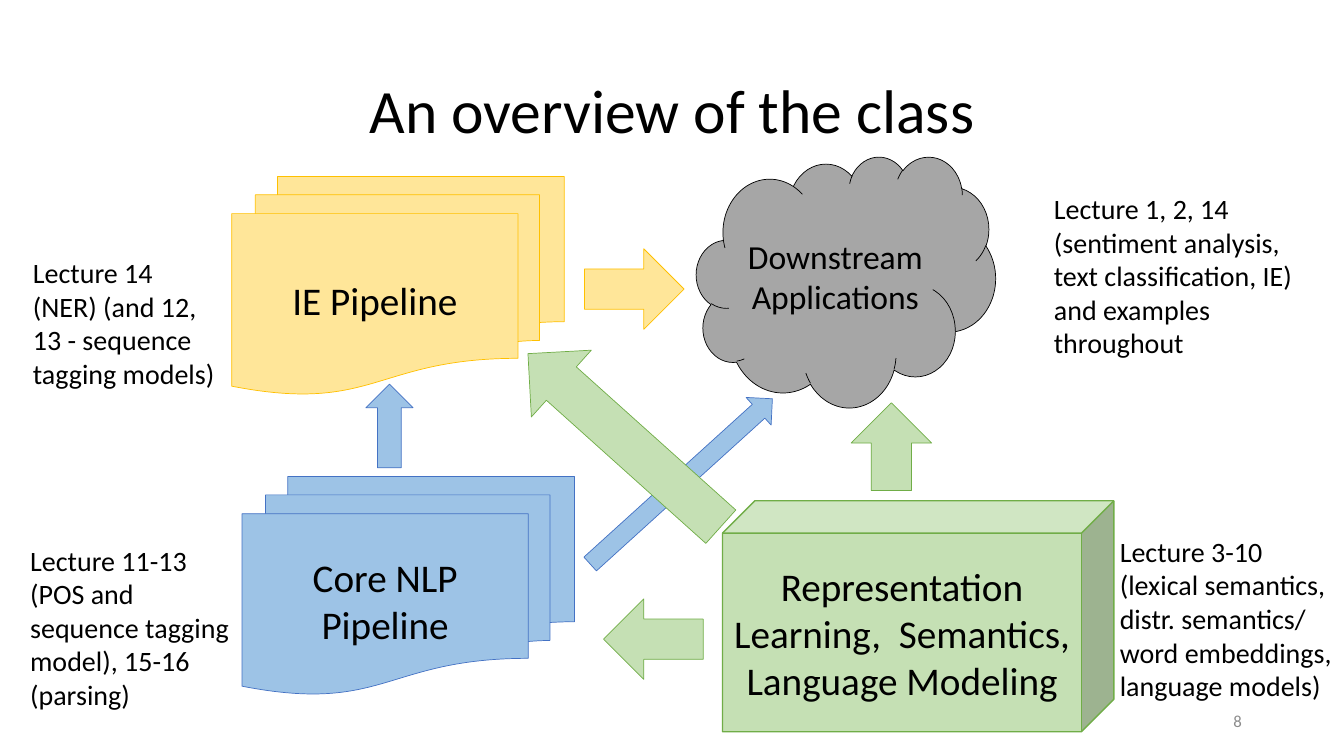
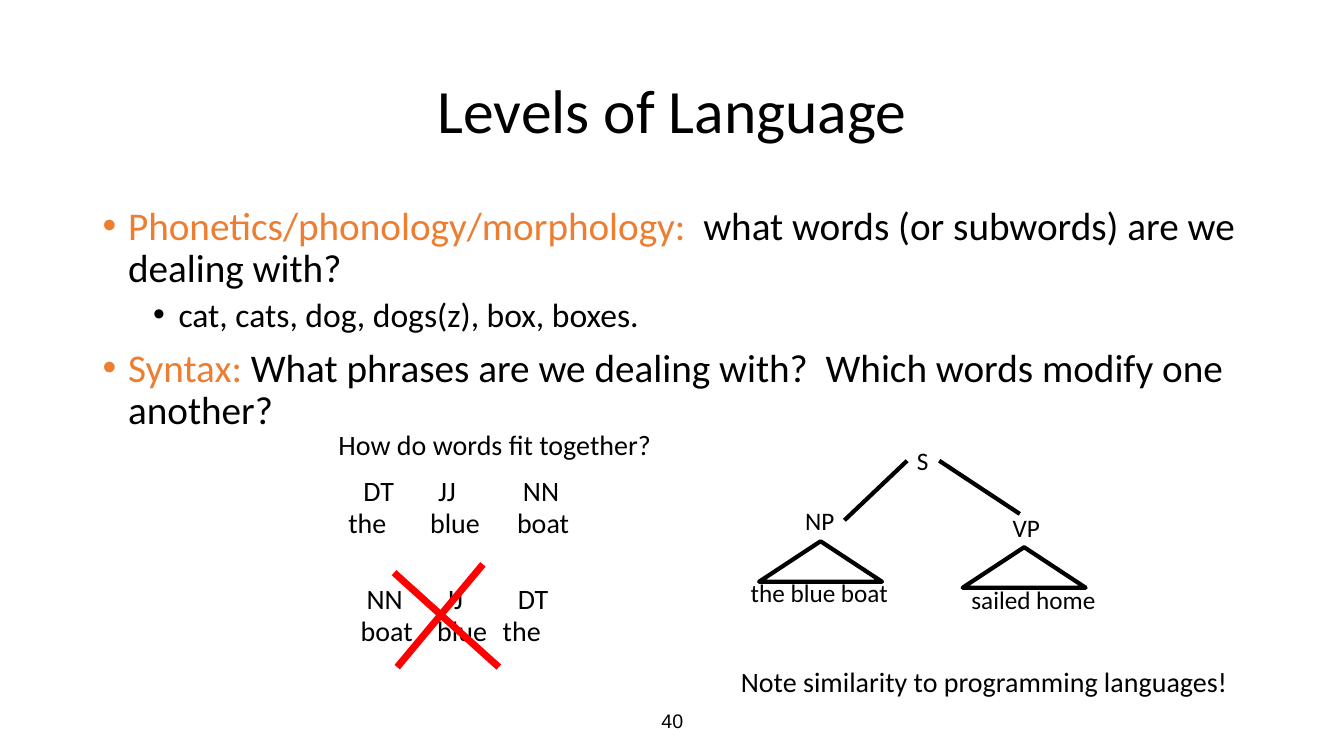
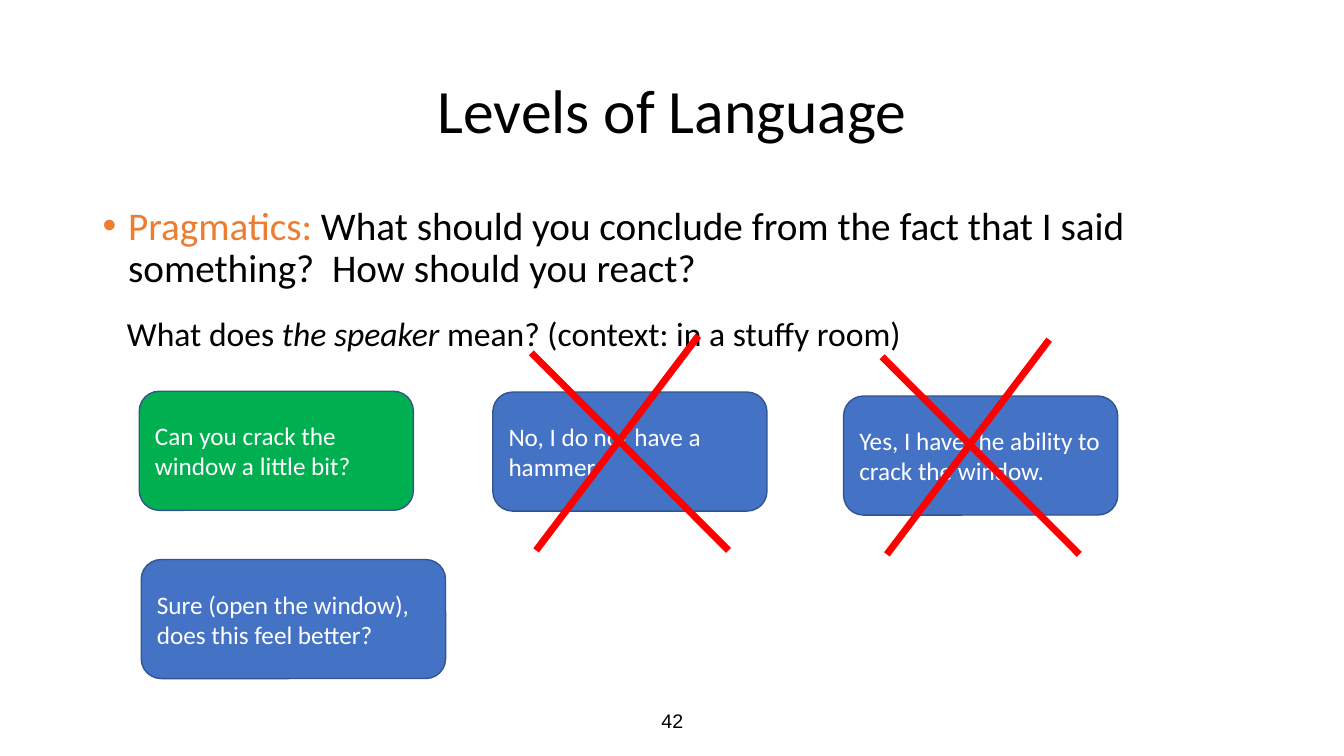
from dataclasses import dataclass
from typing import Any, NamedTuple, Optional

import pptx
import pptx.dml.color
import pptx.enum.shapes
import pptx.enum.text
import pptx.oxml.ns
import pptx.util
from lxml import etree

Cm = pptx.util.Cm
Pt = pptx.util.Pt
SHAPE = pptx.enum.shapes.MSO_SHAPE
ALIGN = pptx.enum.text.PP_ALIGN
ANCHOR = pptx.enum.text.MSO_ANCHOR
AUTO_SIZE = pptx.enum.text.MSO_AUTO_SIZE


# Theme: colours, fonts and type sizes in one place
@dataclass(frozen=True)
class Theme:
    font: str = "Calibri"
    number_font: str = "Arial"
    black: str = "000000"
    white: str = "FFFFFF"
    muted: str = "8C8C8C"
    accent: str = "ED7D31"
    wrong: str = "FF0000"
    blue: str = "4472C4"
    light_blue: str = "9DC3E6"
    navy: str = "325491"
    amber: str = "FFC000"
    light_amber: str = "FFE699"
    green: str = "70AD47"
    light_green: str = "C5E0B4"
    speech_green: str = "00B050"
    gray: str = "A6A6A6"
    title_size: int = 44
    large: int = 28
    medium: int = 24
    note: int = 20
    small: int = 18
    number: int = 14
    small_number: int = 12


THEME = Theme()


# Content records; every length is in centimetres
class Box(NamedTuple):
    left: float
    top: float
    width: float
    height: float


class Stroke(NamedTuple):
    x1: float
    y1: float
    x2: float
    y2: float


class Run(NamedTuple):
    text: str
    color: str = THEME.black
    italic: bool = False


class Bullet(NamedTuple):
    runs: tuple[Run, ...]
    level: int = 0


@dataclass(frozen=True)
class Block:
    box: Box
    kind: Any
    fill: Optional[str]
    line: str
    text: str = ""
    size: int = THEME.large
    color: str = THEME.black
    align: Any = ALIGN.CENTER
    line_width: float = 0.5
    rotation: float = 0
    adjustment: Optional[float] = None


class TaggedWord(NamedTuple):
    word: str
    word_width: float
    tag: str
    tag_width: float
    tag_offset: float


class Phrase(NamedTuple):
    label: str
    label_box: Box
    triangle_box: Box
    words: str
    words_box: Box


class Card(NamedTuple):
    text: str
    box: Box
    fill: str = THEME.blue
    rejected: bool = False


TITLE_BOX = Box(2.34, 1.02, 29.21, 3.68)
BODY_BOX = Box(2.34, 5.08, 29.21, 12.09)
CENTER_NUMBER_BOX = Box(11.23, 17.65, 11.43, 1.02)
RIGHT_NUMBER_BOX = Box(23.93, 17.65, 7.62, 1.02)
NOTE_HEIGHT = 1.12
LABEL_HEIGHT = 1.02


# Shared drawing functions
def rgb(color: str) -> pptx.dml.color.RGBColor:
    return pptx.dml.color.RGBColor.from_string(color)


def lengths(box: Box) -> list:
    return [Cm(value) for value in box]


def add_run(paragraph: Any, run: Run, size: int, font: str = THEME.font) -> None:
    piece = paragraph.add_run()
    piece.text = run.text
    piece.font.name = font
    piece.font.size = Pt(size)
    piece.font.italic = run.italic
    piece.font.color.rgb = rgb(run.color)


def add_text(slide: Any, box: Box, runs: tuple[Run, ...], size: int, wrap: bool = False) -> Any:
    textbox = slide.shapes.add_textbox(*lengths(box))
    frame = textbox.text_frame
    frame.word_wrap = wrap
    frame.auto_size = AUTO_SIZE.SHAPE_TO_FIT_TEXT
    for run in runs:
        add_run(frame.paragraphs[0], run, size)
    return textbox


def add_block(slide: Any, block: Block) -> None:
    shape = slide.shapes.add_shape(block.kind, *lengths(block.box))
    shape.shadow.inherit = False
    shape.rotation = block.rotation
    if block.adjustment is not None:
        shape.adjustments[0] = block.adjustment
    if block.fill:
        shape.fill.solid()
        shape.fill.fore_color.rgb = rgb(block.fill)
    else:
        shape.fill.background()
    shape.line.color.rgb = rgb(block.line)
    shape.line.width = Pt(block.line_width)
    if block.text:
        frame = shape.text_frame
        frame.word_wrap = True
        frame.vertical_anchor = ANCHOR.MIDDLE
        frame.paragraphs[0].alignment = block.align
        add_run(frame.paragraphs[0], Run(block.text, block.color), block.size)


def add_line(slide: Any, stroke: Stroke, color: str, width: float) -> Any:
    line = slide.shapes.add_connector(
        pptx.enum.shapes.MSO_CONNECTOR.STRAIGHT, *[Cm(value) for value in stroke])
    line.line.color.rgb = rgb(color)
    line.line.width = Pt(width)
    etree.SubElement(line._element.spPr, pptx.oxml.ns.qn("a:effectLst"))
    return line


def add_cross(slide: Any, strokes: tuple[Stroke, ...], left: float = 0, top: float = 0) -> None:
    for s in strokes:
        moved = Stroke(s.x1 + left, s.y1 + top, s.x2 + left, s.y2 + top)
        add_line(slide, moved, THEME.wrong, 5)


def add_bullets(slide: Any, bullets: tuple[Bullet, ...]) -> None:
    frame = slide.shapes.add_textbox(*lengths(BODY_BOX)).text_frame
    frame.word_wrap = True
    for index, bullet in enumerate(bullets):
        paragraph = frame.add_paragraph() if index else frame.paragraphs[0]
        paragraph.level = bullet.level
        properties = paragraph._p.get_or_add_pPr()
        properties.set("marL", str(Cm(0.64 + 1.27 * bullet.level)))
        properties.set("indent", str(-Cm(0.64)))
        for tag, name, value in (("a:buFont", "typeface", "Arial"), ("a:buChar", "char", "•")):
            etree.SubElement(properties, pptx.oxml.ns.qn(tag)).set(name, value)
        paragraph.line_spacing = 0.9
        if index:
            paragraph.space_before = Pt(5 if bullet.level else 10)
        for run in bullet.runs:
            add_run(paragraph, run, THEME.medium if bullet.level else THEME.large)


def add_page_number(slide: Any, number: str, box: Box, align: Any, run_color: str,
                    size: int, font: str) -> None:
    frame = slide.shapes.add_textbox(*lengths(box)).text_frame
    frame.word_wrap = True
    frame.vertical_anchor = ANCHOR.MIDDLE
    frame.paragraphs[0].alignment = align
    add_run(frame.paragraphs[0], Run(number, run_color), size, font)


def add_centered_number(slide: Any, number: str) -> None:
    add_page_number(slide, number, CENTER_NUMBER_BOX, ALIGN.CENTER, THEME.black,
                    THEME.number, THEME.number_font)


def add_titled_slide(deck: Any, heading: str) -> Any:
    slide = deck.slides.add_slide(deck.slide_layouts[5])
    title = slide.shapes.title
    title.left, title.top, title.width, title.height = lengths(TITLE_BOX)
    title.text_frame.vertical_anchor = ANCHOR.MIDDLE
    paragraph = title.text_frame.paragraphs[0]
    paragraph.alignment = ALIGN.CENTER
    paragraph.line_spacing = 0.9
    add_run(paragraph, Run(heading), THEME.title_size)
    return slide


# Class overview
def arrow(box: Box, fill: str, line: str, rotation: float = 0) -> Block:
    return Block(box, SHAPE.RIGHT_ARROW, fill, line, rotation=rotation)


def build_overview(deck: Any) -> None:
    slide = add_titled_slide(deck, "An overview of the class")
    t = THEME
    blocks = (
        Block(Box(6.1, 12.01, 8.38, 5.49), SHAPE.FLOWCHART_MULTIDOCUMENT,
              t.light_blue, t.blue, "Core NLP Pipeline"),
        Block(Box(5.84, 4.45, 8.38, 5.49), SHAPE.FLOWCHART_MULTIDOCUMENT,
              t.light_amber, t.amber, "IE Pipeline"),
        Block(Box(9.22, 9.68, 1.19, 2.11), SHAPE.UP_ARROW, t.light_blue, t.blue),
        Block(Box(17.55, 3.94, 7.54, 6.32), SHAPE.CLOUD, t.gray, t.black,
              "Downstream Applications", t.medium),
        arrow(Box(14.07, 11.66, 6.2, 0.94), t.light_blue, t.blue, 317.8),
        arrow(Box(14.73, 6.27, 2.51, 2.03), t.light_amber, t.amber),
        Block(Box(18.21, 12.62, 9.86, 5.82), SHAPE.CUBE, t.light_green, t.green,
              "Representation Learning,  Semantics, Language Modeling",
              line_width=1, adjustment=0.14),
        arrow(Box(21.36, 10.24, 2.21, 2.03), t.light_green, t.green, 270),
        arrow(Box(12.47, 9.96, 6.53, 2.26), t.light_green, t.green, 221.9),
        arrow(Box(15.21, 15.09, 2.51, 2.03), t.light_green, t.green, 180),
    )
    for block in blocks:
        add_block(slide, block)

    lecture_notes = (
        ("Lecture 3-10 (lexical semantics, distr. semantics/ word embeddings, language models)",
         Box(27.97, 13.34, 6.12, 4.52)),
        ("Lecture 11-13 (POS and sequence tagging model), 15-16 (parsing)",
         Box(0.51, 13.56, 5.89, 4.52)),
        ("Lecture 1, 2, 14 (sentiment analysis, text classification, IE) and examples throughout",
         Box(26.31, 4.7, 6.96, 4.52)),
        ("Lecture 14 (NER) (and 12, 13 - sequence tagging models)",
         Box(0.58, 6.32, 5.16, 3.68)),
    )
    for text, box in lecture_notes:
        add_text(slide, box, (Run(text),), t.note, wrap=True)
    add_page_number(slide, "8", RIGHT_NUMBER_BOX, ALIGN.RIGHT, t.muted, t.small_number, t.font)


# Phonetics and syntax
THE = TaggedWord("the", 1.47, "DT", 1.3, 0.38)
BLUE = TaggedWord("blue", 1.78, "JJ", 0.97, 0.2)
BOAT = TaggedWord("boat", 1.83, "NN", 1.42, 0.15)
TAG_RISE = 0.81


def add_tagged_words(slide: Any, top: float, words: tuple[tuple[TaggedWord, float], ...]) -> None:
    for item, left in words:
        add_text(slide, Box(left, top, item.word_width, NOTE_HEIGHT),
                 (Run(item.word),), THEME.note)
        add_text(slide, Box(left + item.tag_offset, top - TAG_RISE, item.tag_width, NOTE_HEIGHT),
                 (Run(item.tag),), THEME.note)


def add_phrase(slide: Any, phrase: Phrase) -> Any:
    add_text(slide, phrase.words_box, (Run(phrase.words),), THEME.small)
    add_block(slide, Block(phrase.triangle_box, SHAPE.ISOSCELES_TRIANGLE, None,
                           THEME.black, line_width=3))
    return add_text(slide, phrase.label_box, (Run(phrase.label),), THEME.small)


def build_syntax(deck: Any) -> None:
    slide = add_titled_slide(deck, "Levels of Language")
    add_bullets(slide, (
        Bullet((Run("Phonetics/phonology/morphology:", THEME.accent),
                Run("  what words (or subwords) are we dealing with?"))),
        Bullet((Run("cat, cats, dog, dogs(z), box, boxes."),), level=1),
        Bullet((Run("Syntax:", THEME.accent),
                Run(" What phrases are we dealing with?  Which words modify one another?"))),
    ))

    # Word order, right and wrong
    add_text(slide, Box(8.28, 10.64, 8.46, NOTE_HEIGHT),
             (Run("How do words fit together?"),), THEME.note)
    add_tagged_words(slide, 12.62, ((THE, 8.53), (BLUE, 10.59), (BOAT, 12.78)))
    add_tagged_words(slide, 15.34, ((BOAT, 8.84), (BLUE, 10.77), (THE, 12.42)))
    add_cross(slide, (Stroke(9.93, 14.43, 12.57, 16.81), Stroke(12.17, 14.22, 10.01, 16.81)))

    # Parse tree
    sentence = add_text(slide, Box(22.86, 11.1, 0.81, LABEL_HEIGHT), (Run("S"),), THEME.small)
    noun_phrase = add_phrase(slide, Phrase(
        "NP", Box(20.04, 12.6, 1.24, LABEL_HEIGHT), Box(19.13, 13.64, 3.1, 1.02),
        "the blue boat", Box(18.67, 14.43, 4.01, LABEL_HEIGHT)))
    add_phrase(slide, Phrase(
        "VP", Box(25.27, 12.78, 1.22, LABEL_HEIGHT), Box(24.26, 13.79, 3.1, 1.02),
        "sailed home", Box(24.23, 14.61, 3.68, LABEL_HEIGHT)))
    noun_branch = add_line(slide, Stroke(22.86, 11.61, 21.28, 13.11), THEME.black, 3)
    noun_branch.begin_connect(sentence, 1)
    noun_branch.end_connect(noun_phrase, 3)
    verb_branch = add_line(slide, Stroke(23.67, 11.61, 25.7, 12.95), THEME.black, 3)
    verb_branch.begin_connect(sentence, 3)

    add_text(slide, Box(18.42, 16.61, 12.88, NOTE_HEIGHT),
             (Run("Note similarity to programming languages!"),), THEME.note)
    add_centered_number(slide, "40")


# Pragmatics
REJECTION = (Stroke(0.97, -0.99, 5.94, 3.99), Stroke(5.18, -1.42, 1.09, 3.99))


def build_pragmatics(deck: Any) -> None:
    slide = add_titled_slide(deck, "Levels of Language")
    add_bullets(slide, (
        Bullet((Run("Pragmatics:", THEME.accent),
                Run(" What should you conclude from the fact that I said something?"
                    "  How should you react?"))),
    ))
    add_text(slide, Box(2.95, 7.77, 20.22, 1.27),
             (Run("What does "), Run("the speaker ", italic=True),
              Run("mean? (context: in a stuffy room)")), THEME.medium)

    cards = (
        Card("Can you crack the window a little bit?", Box(3.51, 9.86, 6.91, 3),
             THEME.speech_green),
        Card("No, I do not have a hammer.", Box(12.42, 9.88, 6.91, 3), rejected=True),
        Card("Yes, I have the ability to crack the window.", Box(21.26, 9.98, 6.91, 3),
             rejected=True),
        Card("Sure (open the window), does this feel better?", Box(3.56, 14.1, 7.67, 3)),
    )
    for card in cards:
        add_block(slide, Block(card.box, SHAPE.ROUNDED_RECTANGLE, card.fill, THEME.navy,
                               card.text, THEME.small, THEME.white, ALIGN.LEFT, 1))
        if card.rejected:
            add_cross(slide, REJECTION, card.box.left, card.box.top)
    add_centered_number(slide, "42")


def main() -> None:
    deck = pptx.Presentation()
    deck.slide_width, deck.slide_height = Cm(33.87), Cm(19.05)
    build_overview(deck)
    build_syntax(deck)
    build_pragmatics(deck)
    deck.save("out.pptx")


if __name__ == "__main__":
    main()
